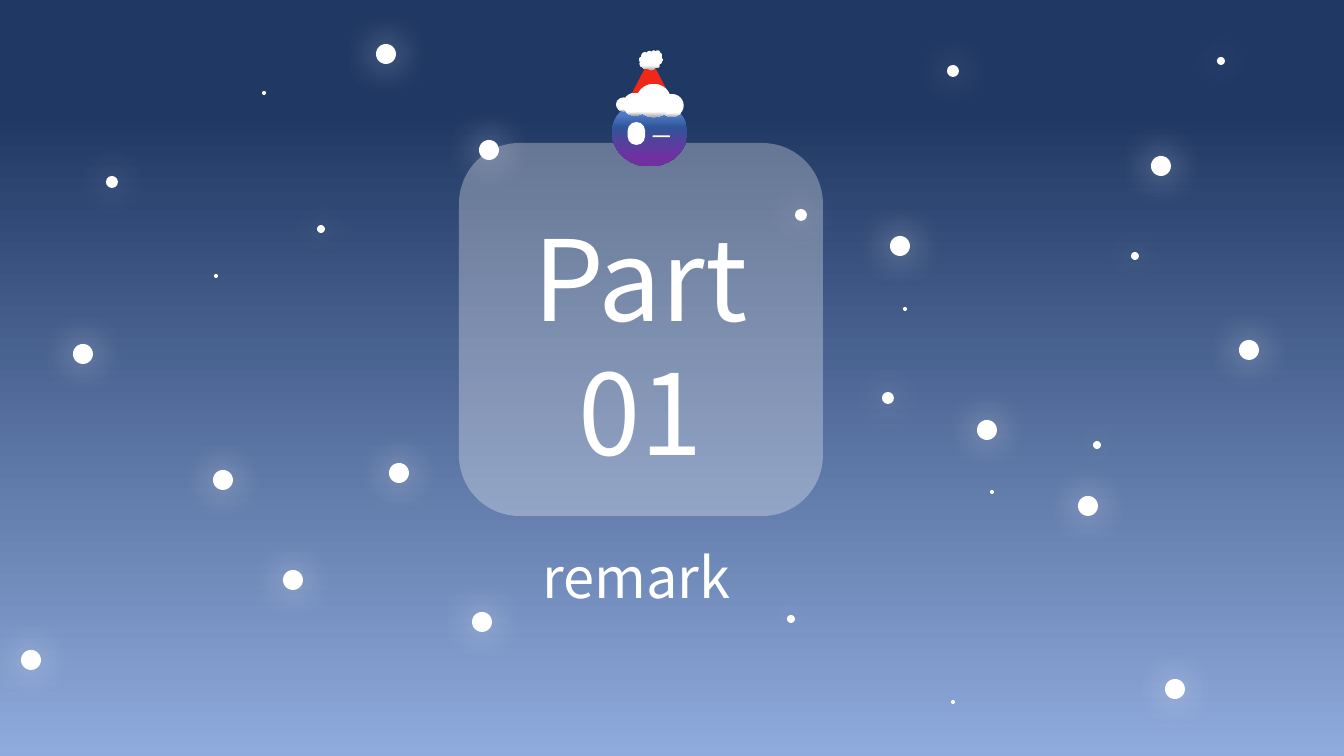
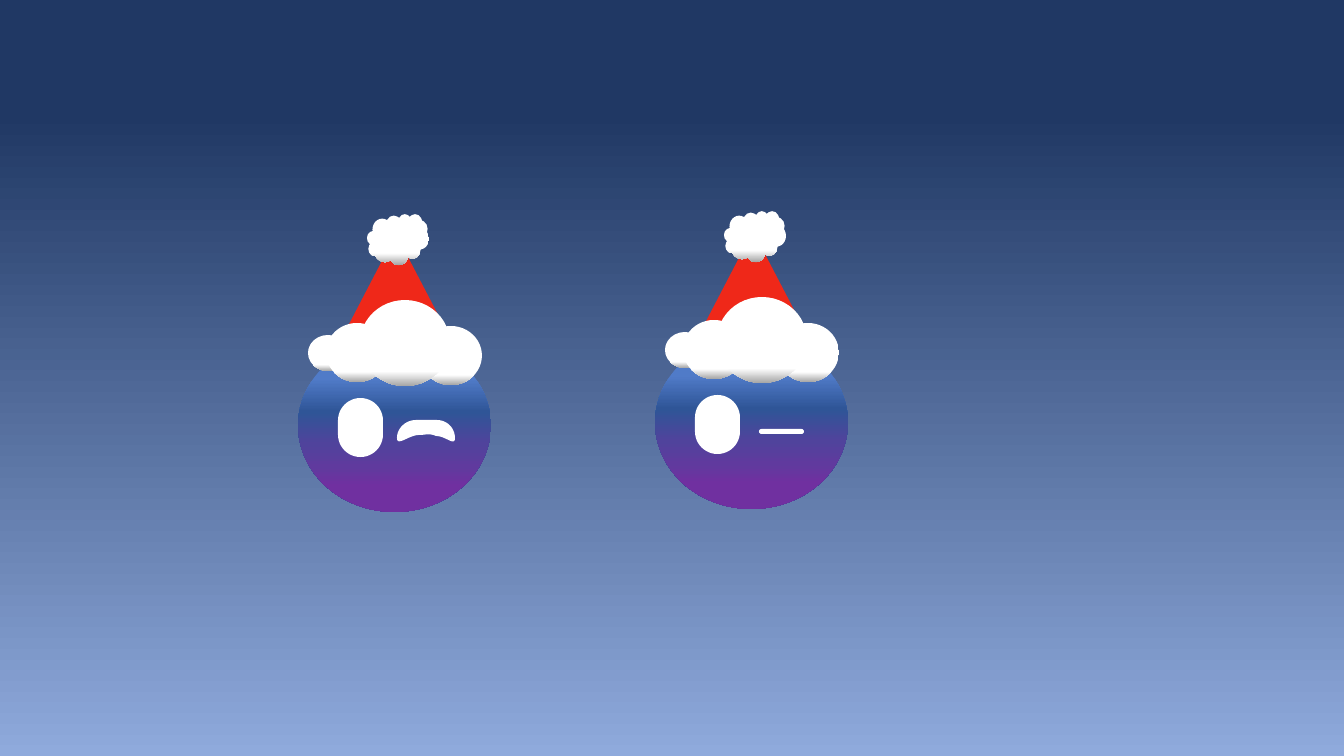
import copy

import pptx
import pptx.dml.color
import pptx.enum.shapes
import pptx.enum.text
import pptx.oxml
import pptx.oxml.ns
import pptx.util

RGB = pptx.dml.color.RGBColor
SHAPE = pptx.enum.shapes.MSO_SHAPE
qn = pptx.oxml.ns.qn

WHITE = RGB(0xFF, 0xFF, 0xFF)
HAT_RED = RGB(0xEF, 0x28, 0x19)
FUR_SHADE = RGB(0xA6, 0xA6, 0xA6)
SKY = [(15, RGB(0x20, 0x38, 0x64)), (100, RGB(0x8F, 0xAA, 0xDC))]
SKIN = [
    (23, RGB(0x50, 0x7B, 0xC8)),
    (42, RGB(0x2F, 0x55, 0x97)),
    (61, RGB(0x50, 0x43, 0x9C)),
    (74, RGB(0x60, 0x3A, 0x9E)),
    (85, RGB(0x70, 0x30, 0xA0)),
]
FUR = [(83, WHITE), (100, FUR_SHADE)]
POMPOM = [(77, WHITE), (100, FUR_SHADE)]

FUR_PUFFS = [(10, -4, 40, 36), (28, -16, 62, 59), (122, -13, 62, 59), (62, -39, 90, 86)]
SQUINT_START = (99, 99)
SQUINT_CURVES = [
    [(99, 108), (111, 96), (121, 96)],
    [(128, 96), (131, 94), (138, 97)],
    [(148, 97), (157, 108), (157, 99)],
    [(157, 89), (149, 81), (139, 81)],
    [(139, 81), (118, 81), (118, 81)],
    [(108, 81), (99, 89), (99, 99)],
]

LONE_STAR = (264, 93)
STARS = {
    20: [
        (386, 54), (83, 354), (399, 473), (223, 480), (482, 622), (489, 150),
        (900, 246), (1088, 506), (1161, 166), (987, 430), (1175, 689),
        (1249, 350), (31, 660), (293, 580),
    ],
    12: [(801, 215), (112, 182), (953, 71), (888, 398)],
    8: [(321, 229), (791, 619), (1135, 256), (1221, 61), (1097, 445)],
    4: [(216, 276), (953, 702), (905, 309), (992, 492)],
}


class Deck:
    """Builds night-sky slides from lengths in px."""

    EMU_PER_PX = 914400 / 100.8
    FONT = "Noto Sans CJK SC"
    TITLE_ONLY, BLANK = 5, 6

    def __init__(self):
        self.presentation = pptx.Presentation()
        self.presentation.slide_width = self.emu(1344)
        self.presentation.slide_height = self.emu(756)
        self.slide = None

    def emu(self, px):
        return pptx.util.Emu(round(px * self.EMU_PER_PX))

    def new_slide(self, layout):
        layouts = self.presentation.slide_layouts
        self.slide = self.presentation.slides.add_slide(layouts[layout])
        self.gradient(self.slide.background.fill, self.slide.element, SKY)

    def gradient(self, fill, owner, stops):
        fill.gradient()
        fill.gradient_angle = 270
        stop_list = owner.find(".//" + qn("a:gsLst"))
        while len(stop_list) < len(stops):
            stop_list.append(copy.deepcopy(stop_list[0]))
        for stop, (percent, colour) in zip(fill.gradient_stops, stops):
            stop.position = percent / 100
            stop.color.rgb = colour

    def paint(self, shape, colour):
        shape.shadow.inherit = False
        shape.line.fill.background()
        if isinstance(colour, list):
            self.gradient(shape.fill, shape.element, colour)
        else:
            shape.fill.solid()
            shape.fill.fore_color.rgb = colour

    def shape(self, shapes, kind, box, colour, rounding=None):
        added = shapes.add_shape(kind, *map(self.emu, box))
        self.paint(added, colour)
        if rounding is not None:
            added.adjustments[0] = rounding
        return added

    def panel(self, box, opacity):
        panel = self.shape(self.slide.shapes, SHAPE.ROUNDED_RECTANGLE, box, WHITE)
        colour = panel.element.spPr.find(qn("a:solidFill"))[0]
        alpha = pptx.oxml.parse_xml(
            f'<a:alpha {pptx.oxml.ns.nsdecls("a")} val="{opacity * 1000}"/>'
        )
        colour.append(alpha)

    def set_text(self, holder, box, lines, size):
        holder.left, holder.top, holder.width, holder.height = map(self.emu, box)
        frame = holder.text_frame
        frame.text = "\n".join(lines)
        frame.word_wrap = True
        frame.auto_size = pptx.enum.text.MSO_AUTO_SIZE.NONE
        frame.vertical_anchor = pptx.enum.text.MSO_ANCHOR.TOP
        for paragraph in frame.paragraphs:
            paragraph.alignment = pptx.enum.text.PP_ALIGN.CENTER
            paragraph.line_spacing = pptx.util.Pt(size * 1.2)
            paragraph.font.name = self.FONT
            paragraph.font.size = pptx.util.Pt(size)
            paragraph.font.color.rgb = WHITE

    def title(self, box, lines, size):
        self.set_text(self.slide.shapes.title, box, lines, size)

    def text(self, box, lines, size):
        holder = self.slide.shapes.add_textbox(*map(self.emu, box))
        self.set_text(holder, box, lines, size)

    def star(self, shapes, centre, diameter):
        left, top = (middle - diameter // 2 for middle in centre)
        star = self.shape(shapes, SHAPE.OVAL, (left, top, diameter, diameter), WHITE)
        blur, opacity = (29, 100) if diameter == 4 else (27, 77)
        glow = pptx.oxml.parse_xml(
            f'<a:outerShdw {pptx.oxml.ns.nsdecls("a")} blurRad="{pptx.util.Pt(blur)}" '
            'dist="0" dir="0" algn="ctr" rotWithShape="0">'
            f'<a:srgbClr val="{WHITE}"><a:alpha val="{opacity * 1000}"/></a:srgbClr>'
            "</a:outerShdw>"
        )
        star.element.spPr.find(qn("a:effectLst")).append(glow)

    def squint(self, shapes, place):
        start = SQUINT_START
        outline = []
        for first, second, end in SQUINT_CURVES:
            for step in range(1, 13):
                t = step / 12
                weights = ((1 - t) ** 3, 3 * t * (1 - t) ** 2, 3 * t * t * (1 - t), t ** 3)
                knots = (start, first, second, end)
                point = [sum(w * k[axis] for w, k in zip(weights, knots)) for axis in (0, 1)]
                outline.append(tuple(map(self.emu, place(point))))
            start = end
        builder = shapes.build_freeform(*map(self.emu, place(SQUINT_START)))
        builder.add_line_segments(outline, close=True)
        self.paint(builder.convert_to_shape(), WHITE)

    def face(self, left, top, scale=1.0, squinting=False):
        shapes = self.slide.shapes.add_group_shape().shapes

        def place(point):
            return left + point[0] * scale, top + point[1] * scale

        def part(kind, box, colour, rounding=None):
            placed = (*place(box), box[2] * scale, box[3] * scale)
            self.shape(shapes, kind, placed, colour, rounding)

        part(SHAPE.OVAL, (0, 0, 193, 173), SKIN)
        part(SHAPE.ROUNDED_RECTANGLE, (40, 59, 45, 59), WHITE, 0.5)
        if squinting:
            self.squint(shapes, place)
        else:
            part(SHAPE.ROUNDED_RECTANGLE, (104, 93, 45, 5), WHITE, 0.5)
        part(SHAPE.ISOSCELES_TRIANGLE, (49, -105, 98, 94), HAT_RED)
        for puff in FUR_PUFFS:
            part(SHAPE.OVAL, puff, FUR)
        part(SHAPE.CLOUD, (69, -125, 62, 51), POMPOM)


def main():
    deck = Deck()

    deck.new_slide(Deck.TITLE_ONLY)
    deck.title((458, 204, 365, 312), ["Part", "01"], 80)
    deck.panel((459, 143, 364, 373), 30)
    deck.text((470, 538, 333, 78), ["remark"], 40)
    deck.face(612, 99, scale=0.39)
    deck.star(deck.slide.shapes, LONE_STAR, 4)
    sky = deck.slide.shapes.add_group_shape().shapes
    for diameter, centres in STARS.items():
        for centre in centres:
            deck.star(sky, centre, diameter)

    deck.new_slide(Deck.BLANK)
    deck.face(655, 336)
    deck.face(298, 339, squinting=True)

    deck.presentation.save("out.pptx")


if __name__ == "__main__":
    main()
